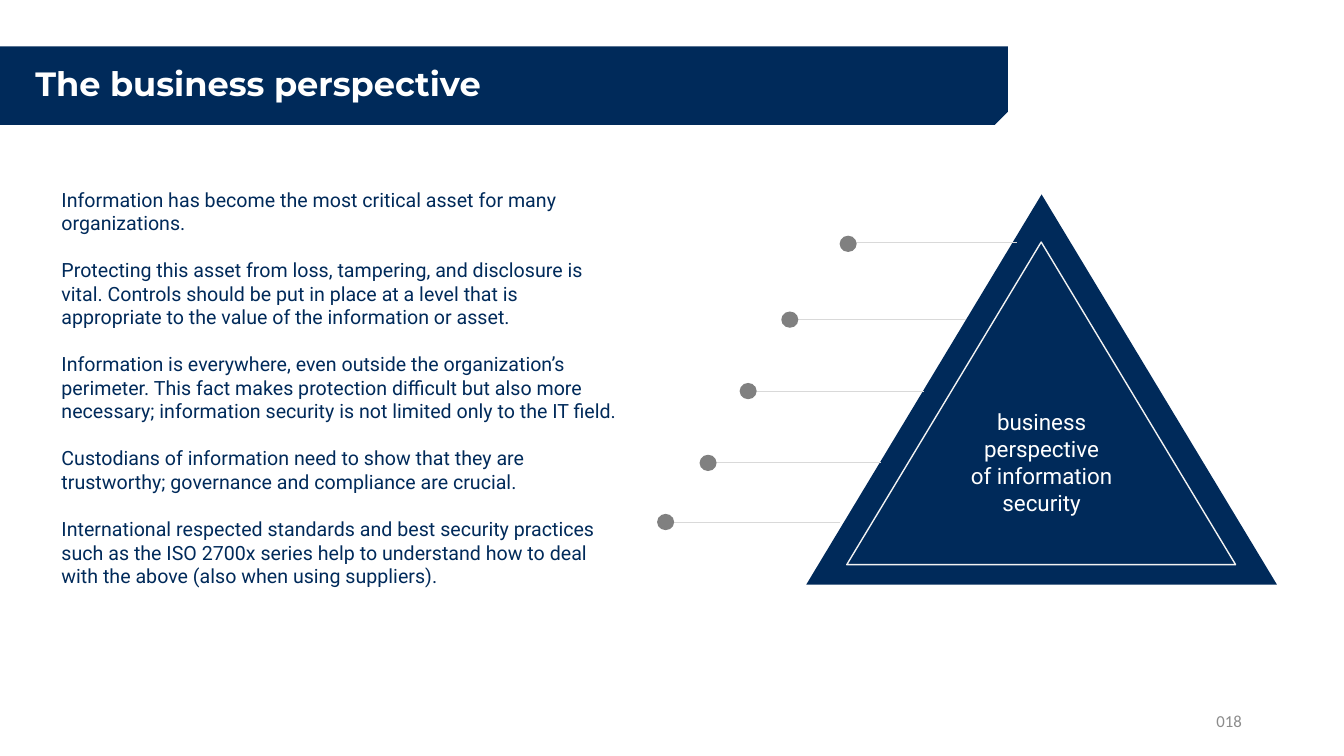
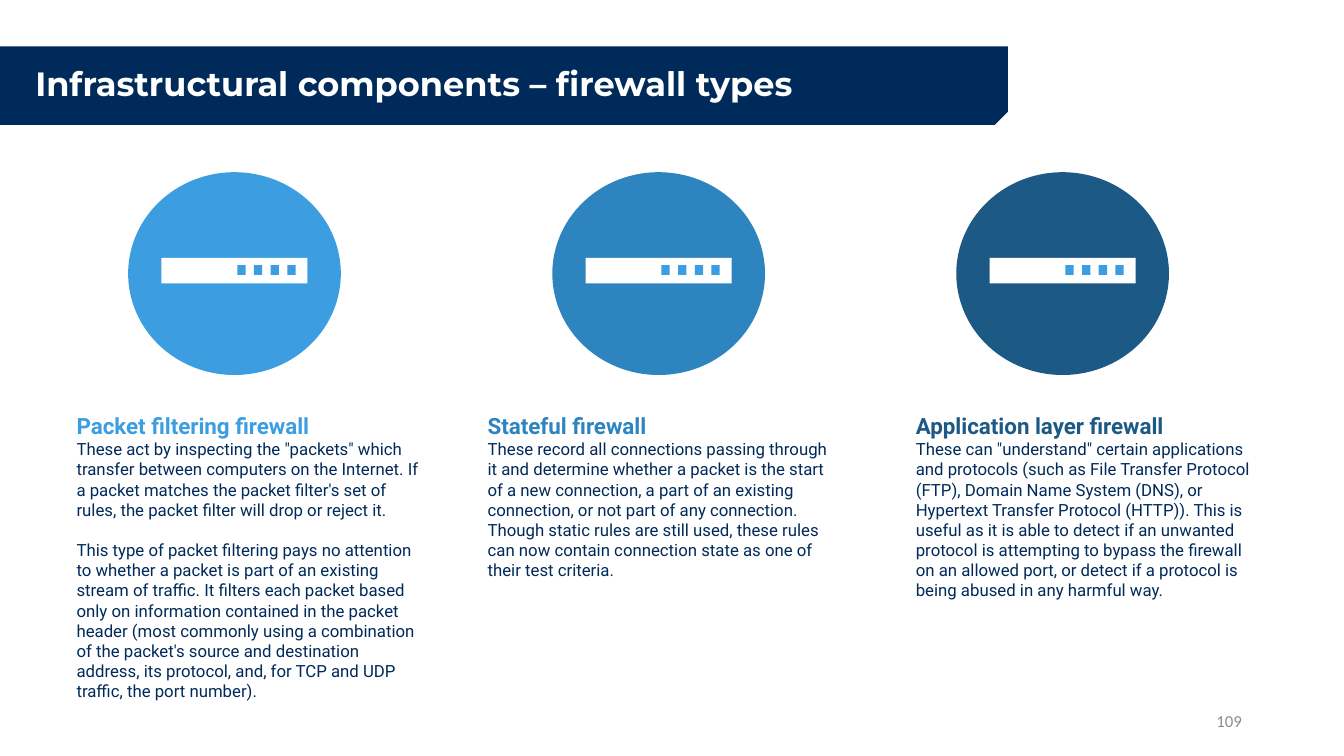
from pptx import Presentation
from pptx.dml.color import RGBColor
from pptx.enum.shapes import MSO_CONNECTOR, MSO_SHAPE
from pptx.enum.text import MSO_ANCHOR, PP_ALIGN
from pptx.oxml.ns import qn
from pptx.util import Cm, Pt
from lxml.etree import SubElement

NAVY, WHITE, SKY = "002A5A", "FFFFFF", "3C9EE1"
DOT_GREY, LINE_GREY, PAGE_GREY, PALE = "808080", "D9D9D9", "8C8C8C", "F2F2F2"
BODY_FONT, TITLE_FONT, PAGE_FONT = "Roboto", "Montserrat", "Calibri"

PERSPECTIVE = [
    "Information has become the most critical asset for many organizations.",
    "Protecting this asset from loss, tampering, and disclosure is vital. Controls should be put in "
    "place at a level that is appropriate to the value of the information or asset.",
    "Information is everywhere, even outside the organization’s perimeter. This fact makes protection "
    "difficult but also more necessary; information security is not limited only to the IT field.",
    "Custodians of information need to show that they are trustworthy; governance and compliance "
    "are crucial.",
    "International respected standards and best security practices such as the ISO 2700x series help "
    "to understand how to deal with the above (also when using suppliers).",
]

# Each pointer: line left, line height on the page, dot left, dot top.
POINTERS = [
    (21.39, 6.1, 21.16, 5.94),
    (20.12, 8.05, 19.69, 7.85),
    (19.05, 9.86, 18.64, 9.65),
    (17.98, 11.66, 17.63, 11.46),
    (16.94, 13.16, 16.56, 12.95),
]

# Each firewall: icon left, text left, colour, heading, paragraphs.
FIREWALLS = [
    (3.23, 1.68, SKY, "Packet filtering firewall", [
        "These act by inspecting the \"packets\" which transfer between computers on the Internet. If a "
        "packet matches the packet filter's set of rules, the packet filter will drop or reject it.",
        "This type of packet filtering pays no attention to whether a packet is part of an existing "
        "stream of traffic. It filters each packet based only on information contained in the packet "
        "header (most commonly using a combination of the packet's source and destination address, its "
        "protocol, and, for TCP and UDP traffic, the port number).",
    ]),
    (13.92, 12.04, "2E84BF", "Stateful firewall", [
        "These record all connections passing through it and determine whether a packet is the start of "
        "a new connection, a part of an existing connection, or not part of any connection. Though "
        "static rules are still used, these rules can now contain connection state as one of their "
        "test criteria.",
    ]),
    (24.1, 22.83, "1C5984", "Application layer firewall", [
        "These can \"understand\" certain applications and protocols (such as File Transfer Protocol "
        "(FTP), Domain Name System (DNS), or Hypertext Transfer Protocol (HTTP)). This is useful as it "
        "is able to detect if an unwanted protocol is attempting to bypass the firewall on an allowed "
        "port, or detect if a protocol is being abused in any harmful way.",
    ]),
]


def color(value):
    """Turn a hex string into a colour."""
    return RGBColor.from_string(value)


def add_shape(shapes, kind, left, top, width, height, fill, outline=None):
    """Add a flat preset shape, with a thin outline if one is given."""
    shape = shapes.add_shape(kind, Cm(left), Cm(top), Cm(width), Cm(height))
    shape.shadow.inherit = False
    shape.fill.solid()
    shape.fill.fore_color.rgb = color(fill)
    if outline:
        shape.line.color.rgb = color(outline)
        shape.line.width = Pt(1)
    else:
        shape.line.fill.background()
    return shape


def add_line(shapes, left, top, width):
    """Add a thin horizontal line."""
    line = shapes.add_connector(MSO_CONNECTOR.STRAIGHT, Cm(left), Cm(top), Cm(left + width), Cm(top))
    line.line.color.rgb = color(LINE_GREY)
    line.line.width = Pt(0.5)
    SubElement(line._element.spPr, qn("a:effectLst"))


def add_box(shapes, left, top, width, height, anchor=MSO_ANCHOR.TOP):
    """Add a wrapping text box and return its text frame."""
    frame = shapes.add_textbox(Cm(left), Cm(top), Cm(width), Cm(height)).text_frame
    frame.word_wrap = True
    frame.vertical_anchor = anchor
    return frame


def add_para(frame, text, size, ink, font=BODY_FONT, bold=False, align=PP_ALIGN.LEFT, before=0):
    """Write one paragraph of a single run, using the empty first one if it is free."""
    first = frame.paragraphs[0]
    para = frame.add_paragraph() if first.runs else first
    para.alignment = align
    if before:
        para.space_before = Pt(before)
    span = para.add_run()
    span.text = text
    span.font.name = font
    span.font.size = Pt(size)
    span.font.bold = bold
    span.font.color.rgb = color(ink)
    return para


def add_paras(frame, texts, size, gap):
    """Write body paragraphs with an equal gap between them."""
    for index, text in enumerate(texts):
        add_para(frame, text, size, NAVY, before=gap if index else 0)


def add_page(deck, title, number):
    """Add a slide with its title band and page number."""
    page = deck.slides.add_slide(deck.slide_layouts[6])
    band = add_shape(page.shapes, MSO_SHAPE.SNIP_ROUND_RECTANGLE, 0, 1.17, 25.4, 1.98, NAVY)
    band.adjustments[0] = 0
    band.adjustments[1] = 0.167
    band._element.spPr.find(qn("a:xfrm")).set("flipV", "1")
    frame = add_box(page.shapes, 0.64, 1.17, 24.13, 1.98, MSO_ANCHOR.MIDDLE)
    add_para(frame, title, 24, WHITE, TITLE_FONT, bold=True).line_spacing = 0.9
    frame = add_box(page.shapes, 23.93, 17.65, 7.62, 1.02, MSO_ANCHOR.MIDDLE)
    add_para(frame, number, 12, PAGE_GREY, PAGE_FONT, align=PP_ALIGN.RIGHT)
    return page


def add_pyramid(page):
    """Add the double triangle with its label."""
    shapes = page.shapes.add_group_shape().shapes
    add_shape(shapes, MSO_SHAPE.ISOSCELES_TRIANGLE, 20.32, 4.9, 11.86, 9.83, NAVY)
    add_shape(shapes, MSO_SHAPE.ISOSCELES_TRIANGLE, 21.34, 6.1, 9.8, 8.13, NAVY, PALE)
    frame = add_box(shapes, 23.95, 10.16, 4.6, 3)
    for text in ("business perspective", "of information security"):
        add_para(frame, text, 16, WHITE, align=PP_ALIGN.CENTER)


def add_pointer(page, line_left, line_top, dot_left, dot_top):
    """Add a line that ends in a dot."""
    add_line(page.shapes, line_left, line_top, 4.23)
    add_shape(page.shapes, MSO_SHAPE.OVAL, dot_left, dot_top, 0.43, 0.41, DOT_GREY)


def add_icon(page, left, fill):
    """Add a round icon of a network device with four lights."""
    shapes = page.shapes.add_group_shape().shapes
    add_shape(shapes, MSO_SHAPE.OVAL, left, 4.34, 5.36, 5.11, fill)
    add_shape(shapes, MSO_SHAPE.RECTANGLE, left + 0.84, 6.5, 3.68, 0.64, WHITE)
    for light in range(4):
        add_shape(shapes, MSO_SHAPE.RECTANGLE, left + 2.75 + light * 0.42, 6.68, 0.21, 0.25, SKY)


def add_firewall(page, icon_left, text_left, ink, heading, texts):
    """Add one firewall type: icon, heading and description."""
    add_icon(page, icon_left, ink)
    frame = add_box(page.shapes, text_left, 10.26, 9.27, 7.62)
    add_para(frame, heading, 16, ink, bold=True)
    add_paras(frame, texts[:1], 12, 0)
    for text in texts[1:]:
        add_para(frame, text, 12, NAVY, before=14.4)


def main():
    """Build and save the deck."""
    deck = Presentation()
    deck.slide_width, deck.slide_height = Cm(33.87), Cm(19.05)

    page = add_page(deck, "The business perspective", "018")
    add_paras(add_box(page.shapes, 1.3, 4.6, 14.63, 10.44), PERSPECTIVE, 14, 16.8)
    add_pyramid(page)
    for pointer in POINTERS:
        add_pointer(page, *pointer)

    page = add_page(deck, "Infrastructural components – firewall types", "109")
    for firewall in FIREWALLS:
        add_firewall(page, *firewall)

    deck.save("out.pptx")


if __name__ == "__main__":
    main()
